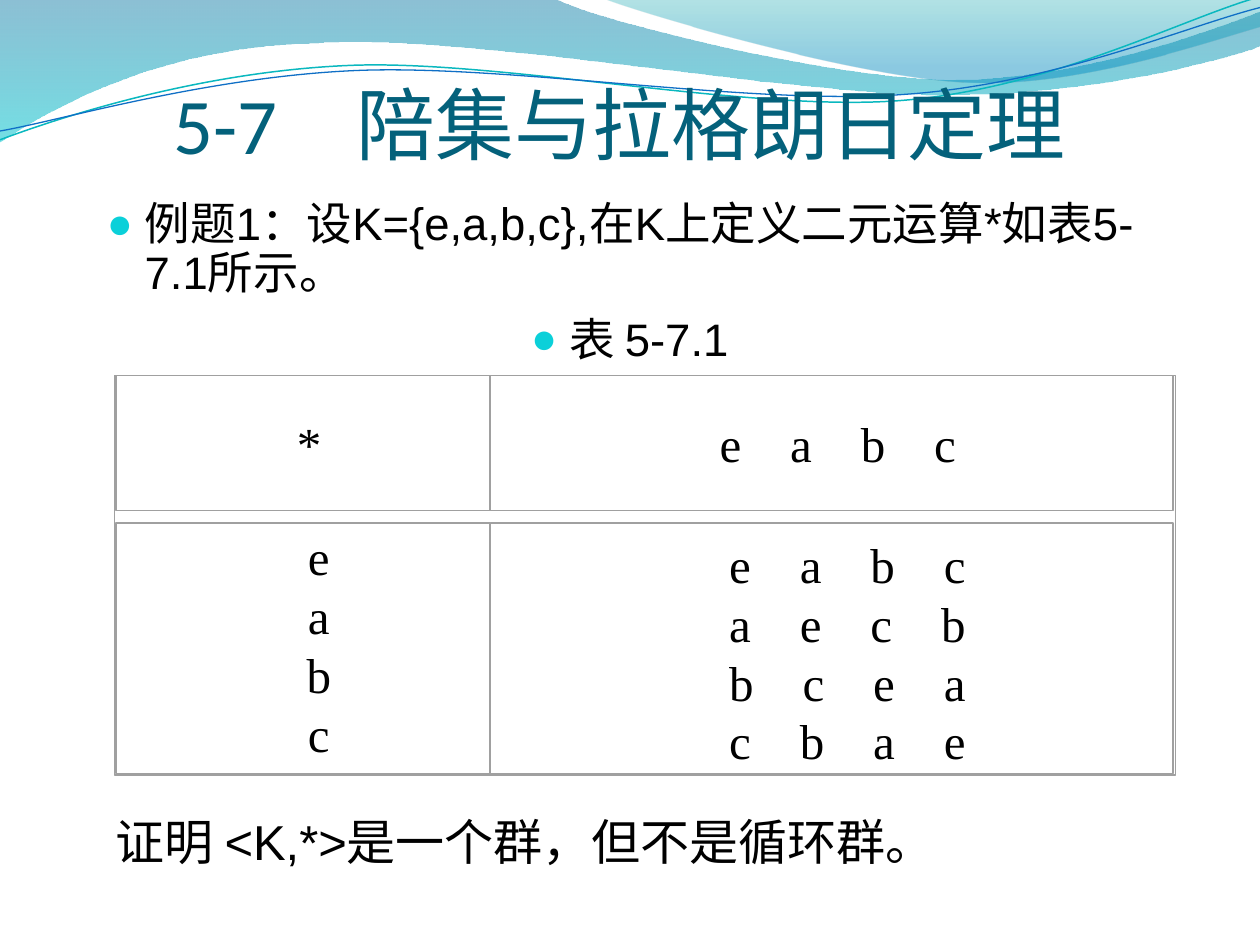
"""Builds a slide on cosets and Lagrange's theorem with a group operation table."""
from lxml.etree import SubElement
from pptx import Presentation
from pptx.dml.color import RGBColor
from pptx.enum.lang import MSO_LANGUAGE_ID
from pptx.enum.shapes import MSO_SHAPE
from pptx.enum.text import MSO_ANCHOR, PP_ALIGN
from pptx.oxml.ns import qn
from pptx.util import Inches, Pt

COLORS = {
    "text": "000000", "title": "04617B", "bullet": "0BD0D9", "border": "A0A0A0",
    "deep": "0074A1", "cyan": "00C6CF", "teal": "00A1A9", "sky": "008BBF",
    "teal_line": "0AB8BF", "blue_line": "0F6FC6",
}
TITLE = "5-7　陪集与拉格朗日定理"
BULLETS = [
    ("例题1：设K={e,a,b,c},在K上定义二元运算*如表5-7.1所示。", PP_ALIGN.LEFT),
    ("表 5-7.1", PP_ALIGN.CENTER),
]
CONCLUSION = "证明 <K,*>是一个群，但不是循环群。"
ELEMENTS = ["e", "a", "b", "c"]
PRODUCTS = ["eabc", "aecb", "bcea", "cbae"]
HEADER = [[" *"], [" " + "　".join(ELEMENTS)]]
BODY = [ELEMENTS, ["　".join(row) for row in PRODUCTS]]
COLUMNS = [(0.92, 2.97), (3.89, 5.42)]
ROWS = [(2.98, 1.07, HEADER, 0, (0, 0)), (4.15, 1.99, BODY, 0.25, (-0.03, 0.03))]
UNITS = 1000

BANDS = [
    ([(0, 0), (4.4, -0.01), (4.76, 0.17, 6.64, 0.63, 7.58, 0.63),
      (8.53, 0.63, 9.58, 0.26, 10, 0.09), (10.01, 0.36),
      (9.83, 0.44, 8.7, 0.76, 7.46, 0.75), (6.22, 0.75, 3.82, 0.28, 2.57, 0.34),
      (1.29, 0.36, 0.46, 0.83, -0.01, 1.13)],
     [(0, "deep", 45), (1, "cyan", 55)]),
    ([(4.79, -0.01), (5.09, 0.11, 6.82, 0.62, 7.69, 0.65),
      (8.56, 0.69, 9.61, 0.32, 10, 0.21), (10, 0)],
     [(0, "teal", 30), (0.8, "sky", 45)]),
]
CURVES = [
    ([(0, 1.11), (0.48, 0.93, 1.58, 0.57, 2.77, 0.52),
      (3.95, 0.47, 5.93, 0.89, 7.13, 0.8), (8.33, 0.71, 9.38, 0.15, 9.98, -0.02)],
     "teal_line", 0.85),
    ([(0, 1.04), (0.47, 0.96, 1.64, 0.61, 2.83, 0.56),
      (4.03, 0.51, 5.97, 0.84, 7.17, 0.75), (8.36, 0.67, 9.41, 0.21, 10, 0.06)],
     "blue_line", 0.75),
]


def color(name):
    return RGBColor.from_string(COLORS[name])


def add_outline(slide, segments, close):
    ends = [(round(segment[-2] * UNITS), round(segment[-1] * UNITS)) for segment in segments]
    builder = slide.shapes.build_freeform(*ends[0], scale=Inches(1) / UNITS)
    builder.add_line_segments(ends[1:], close=close)
    shape = builder.convert_to_shape()
    shape.shadow.inherit = False
    left, top = map(min, zip(*ends))
    lines = list(shape.element.iter(qn("a:lnTo")))
    for line, segment in zip(lines, segments[1:]):
        if len(segment) == 6:
            curve = line.getparent().makeelement(qn("a:cubicBezTo"))
            for x, y in zip(segment[::2], segment[1::2]):
                SubElement(curve, qn("a:pt"), x=str(round(x * UNITS) - left),
                           y=str(round(y * UNITS) - top))
            line.getparent().replace(line, curve)
    return shape


def add_band(slide, segments, stops):
    shape = add_outline(slide, segments, True)
    shape.line.fill.background()
    shape.fill.gradient()
    shape.fill.gradient_angle = 270
    for stop, (position, name, _) in zip(shape.fill.gradient_stops, stops):
        stop.position = position
        stop.color.rgb = color(name)
    for element, (_, _, opacity) in zip(shape.element.iter(qn("a:srgbClr")), stops):
        SubElement(element, qn("a:alpha"), val=str(opacity * 1000))


def add_curve(slide, segments, name, width):
    shape = add_outline(slide, segments, False)
    shape.fill.background()
    shape.line.color.rgb = color(name)
    shape.line.width = Pt(width)


def add_run(paragraph, text, font, size, name="text"):
    run = paragraph.add_run()
    run.text = text
    run.font.name = font
    run.font.size = Pt(size)
    run.font.color.rgb = color(name)
    run.font.language_id = MSO_LANGUAGE_ID.SIMPLIFIED_CHINESE
    return run


def add_box(slide, left, top, width, height):
    box = slide.shapes.add_textbox(*map(Inches, (left, top, width, height)))
    box.text_frame.word_wrap = True
    return box.text_frame


def next_paragraph(frame, index):
    return frame.paragraphs[0] if index == 0 else frame.add_paragraph()


def add_bullets(slide):
    frame = add_box(slide, 0.75, 1.55, 8.5, 1.83)
    for index, (text, alignment) in enumerate(BULLETS):
        paragraph = next_paragraph(frame, index)
        paragraph.alignment = alignment
        paragraph.line_spacing = 0.9
        paragraph.space_before = Pt(5 if index else 0)
        paragraph.space_after = Pt(5)
        properties = paragraph._p.get_or_add_pPr()
        properties.set("marL", str(Inches(0.3)))
        properties.set("indent", str(Inches(-0.3)))
        bullet_color = SubElement(properties, qn("a:buClr"))
        SubElement(bullet_color, qn("a:srgbClr"), val=COLORS["bullet"])
        SubElement(properties, qn("a:buSzPct"), val="95000")
        SubElement(properties, qn("a:buFont"), typeface="Arial")
        SubElement(properties, qn("a:buChar"), char="●")
        add_run(paragraph, text, "Arial", 26)


def add_frame(slide, left, top, width, height, line_width):
    frame = slide.shapes.add_shape(MSO_SHAPE.RECTANGLE,
                                   *map(Inches, (left, top, width, height)))
    frame.shadow.inherit = False
    frame.fill.background()
    frame.line.color.rgb = color("border")
    frame.line.width = Pt(line_width)


def add_cell_text(slide, left, top, width, height, lines, indent):
    frame = add_box(slide, left, top, width, height)
    frame.vertical_anchor = MSO_ANCHOR.MIDDLE
    for index, text in enumerate(lines):
        paragraph = next_paragraph(frame, index)
        paragraph.alignment = PP_ALIGN.CENTER
        paragraph.line_spacing = Pt(33.6)
        paragraph._p.get_or_add_pPr().set("indent", str(Inches(indent)))
        run = add_run(paragraph, text, "Times New Roman", 28)
        SubElement(run.font._element, qn("a:ea"), typeface="Times New Roman")


def add_operation_table(slide):
    for top, height, texts, indent, shifts in ROWS:
        for (left, width), lines, shift in zip(COLUMNS, texts, shifts):
            add_cell_text(slide, left + 0.1, top + 0.05 + shift, width - 0.2,
                          height - 0.1, lines, indent)
            add_frame(slide, left, top, width, height, 0)
    add_frame(slide, 0.91, 2.98, 8.42, 3.17, 0.87)


def main():
    presentation = Presentation()
    presentation.slide_width, presentation.slide_height = Inches(10), Inches(7.5)
    slide = presentation.slides.add_slide(presentation.slide_layouts[6])
    for band in BANDS:
        add_band(slide, *band)
    for curve in CURVES:
        add_curve(slide, *curve)
    add_bullets(slide)
    add_operation_table(slide)
    conclusion = add_box(slide, 0.82, 6.39, 7.92, 0.57)
    add_run(conclusion.paragraphs[0], CONCLUSION, "Arial", 28)
    title = add_box(slide, 1.38, 0.52, 8.31, 0.83)
    title.margin_left = title.margin_right = title.margin_bottom = 0
    title.vertical_anchor = MSO_ANCHOR.BOTTOM
    add_run(title.paragraphs[0], TITLE, "Calibri", 45, "title")
    presentation.save("out.pptx")


if __name__ == "__main__":
    main()
